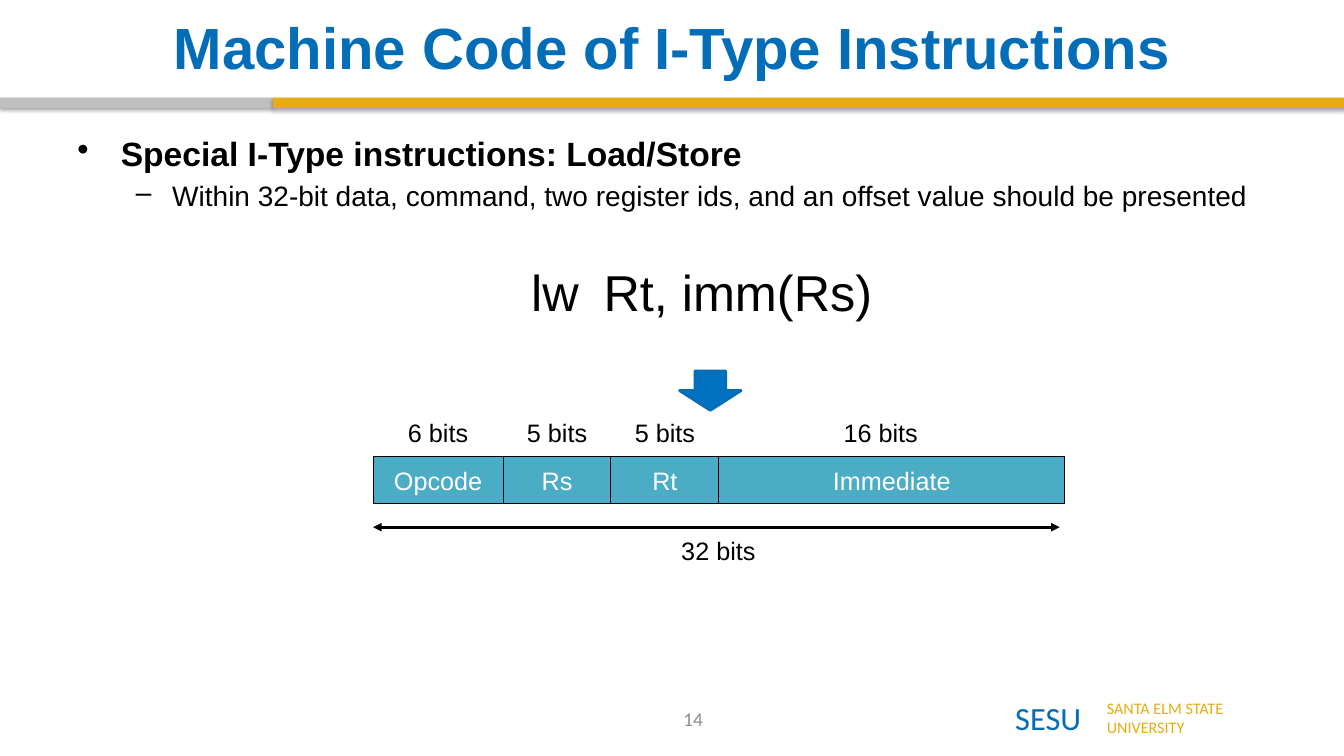
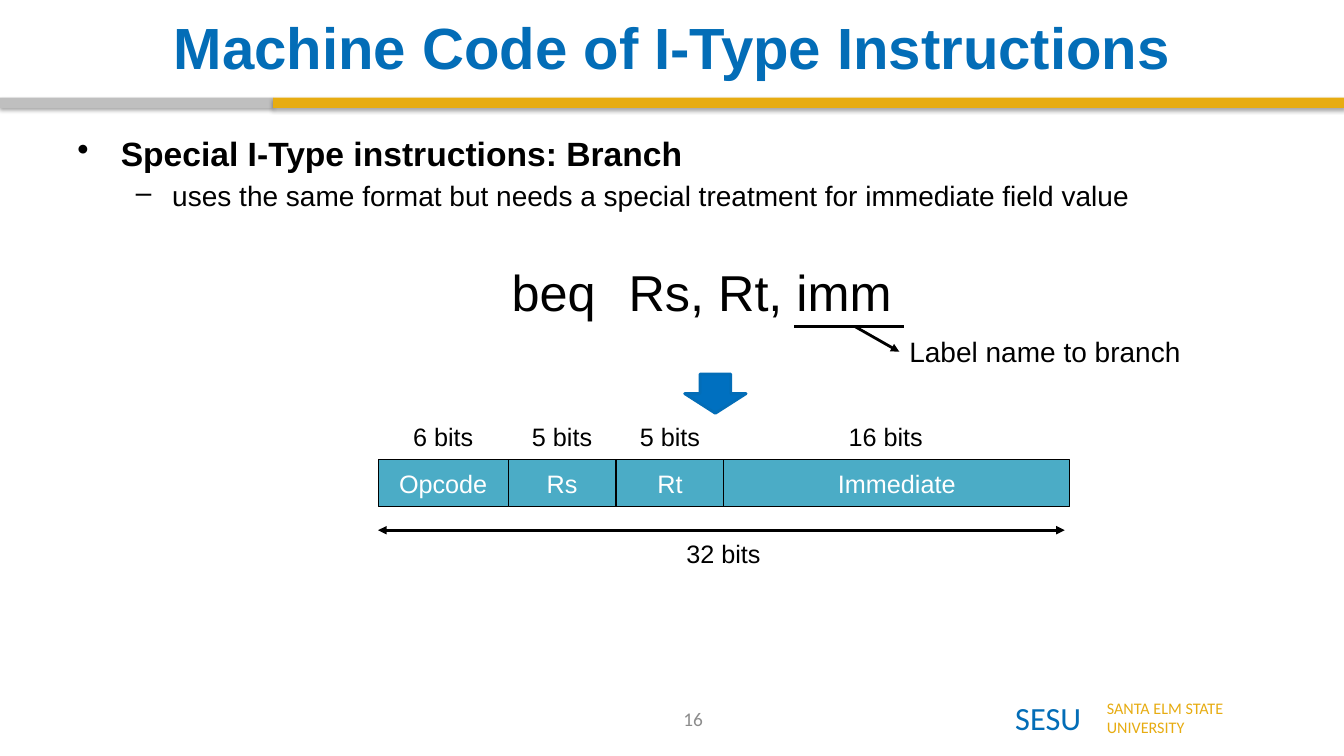
from dataclasses import dataclass
from typing import Optional

from lxml import etree
from pptx import Presentation
from pptx.dml.color import RGBColor
from pptx.enum.shapes import MSO_CONNECTOR, MSO_SHAPE
from pptx.enum.text import MSO_ANCHOR, PP_ALIGN
from pptx.oxml.ns import qn
from pptx.util import Pt

RECT, DOWN = MSO_SHAPE.RECTANGLE, MSO_SHAPE.DOWN_ARROW
LINE = MSO_CONNECTOR.STRAIGHT
LEFT, MID = PP_ALIGN.LEFT, PP_ALIGN.CENTER
TOP, CORE = MSO_ANCHOR.TOP, MSO_ANCHOR.MIDDLE

# Shared style
SCALE = 9144  # EMU per px, 100 px to the inch
WIDE, HIGH = 1333, 750
BLUE, GOLD, GREY = "036DB7", "E7AC11", "BFBFBF"
TEAL, ARROW, PAGE = "4BACC6", "0070C0", "8C8C8C"
BLACK, WHITE = "000000", "FFFFFF"
BODY, FOOT = "Arial", "Calibri"
TITLE = "Machine Code of I-Type Instructions"
ROW = 47


@dataclass(frozen=True)
class Box:
    x: int
    y: int
    w: int
    h: int


@dataclass(frozen=True)
class Font:
    size: float
    color: str = BLACK
    name: str = BODY
    bold: bool = False


@dataclass(frozen=True)
class Item:
    text: str
    font: Font
    gap: int
    indent: int
    hang: int = 0
    mark: str = ""


@dataclass(frozen=True)
class Field:
    name: str
    bits: str
    w: int
    shift: int = 0  # moves the label off the centre of the cell


@dataclass(frozen=True)
class Page:
    num: str
    head: str
    note: str
    code: str
    x: int
    y: int
    label: Optional[str] = None


FIELDS = (
    Field("Opcode", "6 bits", 129),
    Field("Rs", "5 bits", 107),
    Field("Rt", "5 bits", 107),
    Field("Immediate", "16 bits", 343, -11),
)

PAGES = (
    Page("14", "Special I-Type instructions: Load/Store",
         "Within 32-bit data, command, two register ids, and an offset value "
         "should be presented", "lw\t Rt, imm(Rs)", 370, 453),
    Page("16", "Special I-Type instructions: Branch",
         "uses the same format but needs a special treatment for immediate "
         "field value", "beq\tRs, Rt, imm", 375, 456, "Label name to branch"),
)


# Helpers
def px(n: int) -> int:
    return n * SCALE


def rgb(code: str) -> RGBColor:
    return RGBColor.from_string(code)


def place(box: Box) -> tuple[int, int, int, int]:
    return px(box.x), px(box.y), px(box.w), px(box.h)


def style(para, font: Font, align=LEFT) -> None:
    para.alignment = align
    para.font.size = Pt(font.size)
    para.font.name = font.name
    para.font.bold = font.bold
    para.font.color.rgb = rgb(font.color)


def write(frame, text: str, font: Font, align=MID, anchor=CORE,
          wrap: bool = False) -> None:
    frame.word_wrap = wrap
    frame.vertical_anchor = anchor
    frame.text = text
    for para in frame.paragraphs:
        style(para, font, align)


def label(slide, box: Box, text: str, font: Font, align=MID,
          anchor=CORE) -> None:
    area = slide.shapes.add_textbox(*place(box))
    write(area.text_frame, text, font, align, anchor)


def block(slide, box: Box, fill: str, edge: str = "", width: float = 0,
          kind=RECT):
    shape = slide.shapes.add_shape(kind, *place(box))
    shape.shadow.inherit = False
    shape.fill.solid()
    shape.fill.fore_color.rgb = rgb(fill)
    if edge:
        shape.line.color.rgb = rgb(edge)
        shape.line.width = Pt(width)
    else:
        shape.line.fill.background()
    return shape


def shade(shape) -> None:
    fx = shape._element.spPr.find(qn("a:effectLst"))
    cast = etree.SubElement(fx, qn("a:outerShdw"), blurRad=str(Pt(3.1)),
                            dist=str(Pt(1.8)), dir="5400000", rotWithShape="0")
    tone = etree.SubElement(cast, qn("a:srgbClr"), val=BLACK)
    etree.SubElement(tone, qn("a:alpha"), val="35000")


def stroke(slide, x1: int, y1: int, x2: int, y2: int, *ends: str) -> None:
    line = slide.shapes.add_connector(LINE, px(x1), px(y1), px(x2), px(y2))
    line.line.color.rgb = rgb(BLACK)
    line.line.width = Pt(2)
    for end in ends:
        etree.SubElement(line.line._ln, qn(f"a:{end}"), type="triangle")
    etree.SubElement(line._element.spPr, qn("a:effectLst"))


# Slide parts
def base(slide, num: str) -> None:
    split = 271
    for x, w, fill in ((0, split, GREY), (split, WIDE - split, GOLD)):
        shade(block(slide, Box(x, 97, w, 10), fill))
    title = slide.shapes.title
    title.left, title.top, title.width, title.height = place(
        Box(67, 8, 1200, 76))
    write(title.text_frame, TITLE, Font(41.5, BLUE, bold=True), wrap=True)
    label(slide, Box(997, 688, 91, 49), "SESU", Font(23.1, BLUE, FOOT),
          LEFT, TOP)
    label(slide, Box(1088, 688, 180, 49), "SANTA ELM STATE\nUNIVERSITY",
          Font(11.5, GOLD, FOOT), LEFT, TOP)
    label(slide, Box(532, 693, 311, 40), num, Font(13.8, PAGE, FOOT))


def body(slide, page: Page) -> None:
    items = (
        Item(page.head, Font(24, bold=True), 5, 43, 43, "•"),
        Item(page.note, Font(20), 4, 94, 36, "–"),
        Item(page.code, Font(36), 35, 58),
    )
    frame = slide.shapes.add_textbox(*place(Box(67, 127, 1200, 543))).text_frame
    frame.word_wrap = True
    for i, item in enumerate(items):
        para = frame.add_paragraph() if i else frame.paragraphs[0]
        para.text = item.text
        para.space_before = Pt(item.gap)
        style(para, item.font, LEFT if item.mark else MID)
        props = para._p.get_or_add_pPr()
        props.set("marL", str(px(item.indent)))
        props.set("indent", str(px(-item.hang)))
        props.set("defTabSz", str(px(58)))
        if item.mark:
            mark = etree.Element(qn("a:buChar"), char=item.mark)
            props.find(qn("a:defRPr")).addprevious(mark)


def layout(slide, x: int, y: int) -> None:
    left = x
    for field in FIELDS:
        cell = block(slide, Box(left, y, field.w, ROW), TEAL, BLACK, 0.75)
        write(cell.text_frame, field.name, Font(18, WHITE))
        label(slide, Box(left + field.shift, y - ROW, field.w, ROW),
              field.bits, Font(18))
        left += field.w
    label(slide, Box(x + 278, y + 70, 129, ROW), "32 bits", Font(18))
    stroke(slide, x, y + 70, x + 681, y + 70, "headEnd", "tailEnd")
    block(slide, Box(x + 304, y - 85, 61, 39), ARROW, BLUE, 2, DOWN)


def callout(slide, text: str) -> None:
    stroke(slide, 788, 324, 897, 324)
    label(slide, Box(892, 327, 301, 45), text, Font(20), LEFT, TOP)
    stroke(slide, 848, 324, 892, 349, "tailEnd")


def main() -> None:
    deck = Presentation()
    deck.slide_width, deck.slide_height = px(WIDE), px(HIGH)
    for page in PAGES:
        slide = deck.slides.add_slide(deck.slide_layouts[5])
        base(slide, page.num)
        body(slide, page)
        layout(slide, page.x, page.y)
        if page.label:
            callout(slide, page.label)
    deck.save("out.pptx")


if __name__ == "__main__":
    main()
